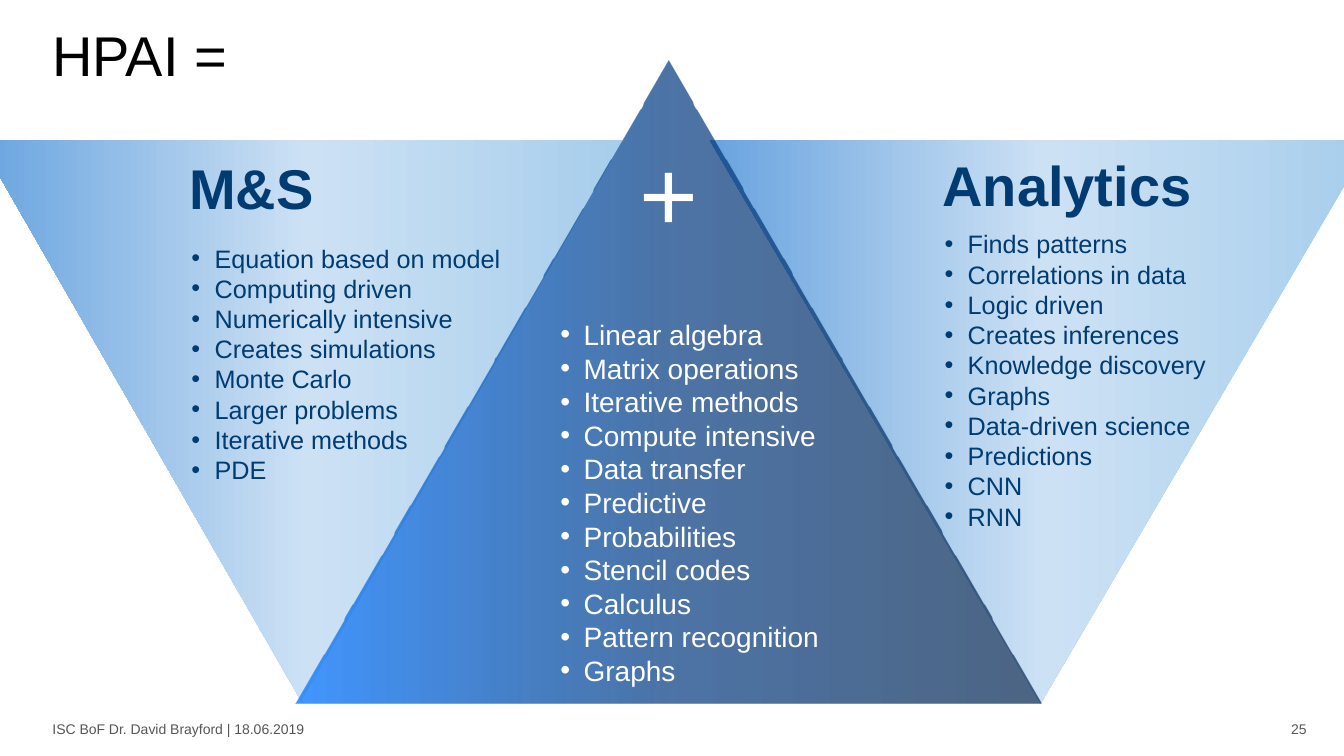
"""Build the HPAI slide: two pale triangles and a dark one, each with a list."""
from dataclasses import dataclass

from lxml import etree
from pptx import Presentation
from pptx import util as u
from pptx.dml.color import RGBColor
from pptx.enum import shapes, text
from pptx.oxml import ns

NAVY, WHITE, BLACK, GREY = "003C71", "FFFFFF", "000000", "575756"
LEFT, MID, RIGHT = text.PP_ALIGN.LEFT, text.PP_ALIGN.CENTER, text.PP_ALIGN.RIGHT
TOP, CORE, BASE = (text.MSO_ANCHOR.TOP, text.MSO_ANCHOR.MIDDLE,
                   text.MSO_ANCHOR.BOTTOM)
PALE = ((0, "A7CEEC", 100), (49, "CDE1F4", 100), (100, "69A4DF", 100))
DARK = ((0, "137DFF", 80), (50, "003980", 70), (100, "00234E", 70))
HANG = 0.23

Box = tuple[float, float, float, float]


@dataclass
class Label:
    box: Box
    lines: list[str]
    size: int
    color: str
    bold: bool = False
    align: text.PP_ALIGN = LEFT
    anchor: text.MSO_ANCHOR = TOP
    inset: bool = True
    wrap: bool = True
    dots: bool = False
    lead: float = 1.0


@dataclass
class Wedge:
    box: Box
    stops: tuple
    turn: int
    head: Label
    items: Label


WEDGES = [
    Wedge((-0.21, 1.39, 6.39, 5.56), PALE, 180,
          Label((1.78, 1.47, 2.06, 0.77), ["M&S"], 40, NAVY, bold=True),
          Label((1.8, 2.36, 3.49, 2.52), [
              "Equation based on model", "Computing driven",
              "Numerically intensive", "Creates simulations", "Monte Carlo",
              "Larger problems", "Iterative methods", "PDE",
          ], 18, NAVY, dots=True)),
    Wedge((7.04, 1.39, 6.56, 5.59), PALE, 180,
          Label((9.25, 1.44, 2.69, 1.08), ["Analytics"], 40, NAVY, bold=True),
          Label((9.27, 2.22, 2.94, 3.13), [
              "Finds patterns", "Correlations in data", "Logic driven",
              "Creates inferences", "Knowledge discovery", "Graphs",
              "Data-driven science", "Predictions", "CNN", "RNN",
          ], 18, NAVY, dots=True)),
    Wedge((2.93, 0.6, 7.4, 6.38), DARK, 0,
          Label((5.87, 1.25, 1.53, 1.31), ["+"], 72, WHITE, align=MID),
          Label((5.46, 3.1, 2.78, 3.8), [
              "Linear algebra", "Matrix operations", "Iterative methods",
              "Compute intensive", "Data transfer", "Predictive",
              "Probabilities", "Stencil codes", "Calculus",
              "Pattern recognition", "Graphs",
          ], 20, WHITE, dots=True)),
]

FRAME = [
    Label((12.61, 7.15, 0.35, 0.17), ["25"], 10, GREY, align=RIGHT,
          anchor=CORE, inset=False),
    Label((0.52, 7.15, 2.6, 0.17), ["ISC BoF Dr. David Brayford | 18.06.2019"],
          10, GREY, inset=False, wrap=False),
    Label((0.52, 0.49, 11.46, 0.39), ["HPAI ="], 40, BLACK, anchor=BASE,
          inset=False, lead=0.9),
]


def rgb(code: str) -> RGBColor:
    return RGBColor.from_string(code)


def place(box: Box) -> list[u.Length]:
    return [u.Inches(n) for n in box]


def add_dot(para) -> None:
    props = para._p.get_or_add_pPr()
    props.set("marL", str(u.Inches(HANG)))
    props.set("indent", str(-u.Inches(HANG)))
    font = etree.SubElement(props, ns.qn("a:buFont"))
    font.set("typeface", "Arial")
    mark = etree.SubElement(props, ns.qn("a:buChar"))
    mark.set("char", "•")


def add_label(slide, label: Label) -> None:
    frame = slide.shapes.add_textbox(*place(label.box)).text_frame
    frame.word_wrap = label.wrap
    frame.vertical_anchor = label.anchor
    if not label.inset:
        frame.margin_left = frame.margin_right = 0
        frame.margin_top = frame.margin_bottom = 0
    frame.text = "\n".join(label.lines)
    for para in frame.paragraphs:
        para.alignment = label.align
        if label.lead != 1:
            para.line_spacing = label.lead
        if label.dots:
            add_dot(para)
        for run in para.runs:
            run.font.name = "Arial"
            run.font.size = u.Pt(label.size)
            run.font.bold = label.bold
            run.font.color.rgb = rgb(label.color)


def blend(shape, stops: tuple) -> None:
    shape.fill.gradient()
    shape.fill.gradient_angle = 0
    ramp = shape._element.spPr.find(".//" + ns.qn("a:gsLst"))
    for old in list(ramp):
        ramp.remove(old)
    for pos, code, alpha in stops:
        stop = etree.SubElement(ramp, ns.qn("a:gs"))
        stop.set("pos", str(pos * 1000))
        tint = etree.SubElement(stop, ns.qn("a:srgbClr"))
        tint.set("val", code)
        if alpha < 100:
            fade = etree.SubElement(tint, ns.qn("a:alpha"))
            fade.set("val", str(alpha * 1000))


def add_wedge(slide, wedge: Wedge) -> None:
    kind = shapes.MSO_SHAPE.ISOSCELES_TRIANGLE
    shape = slide.shapes.add_shape(kind, *place(wedge.box))
    shape.rotation = wedge.turn
    shape.shadow.inherit = False
    shape.line.fill.background()
    blend(shape, wedge.stops)
    add_label(slide, wedge.head)
    add_label(slide, wedge.items)


def main() -> None:
    deck = Presentation()
    deck.slide_width, deck.slide_height = u.Inches(13.33), u.Inches(7.5)
    slide = deck.slides.add_slide(deck.slide_layouts[6])
    for label in FRAME:
        add_label(slide, label)
    for wedge in WEDGES:
        add_wedge(slide, wedge)
    deck.save("out.pptx")


if __name__ == "__main__":
    main()
